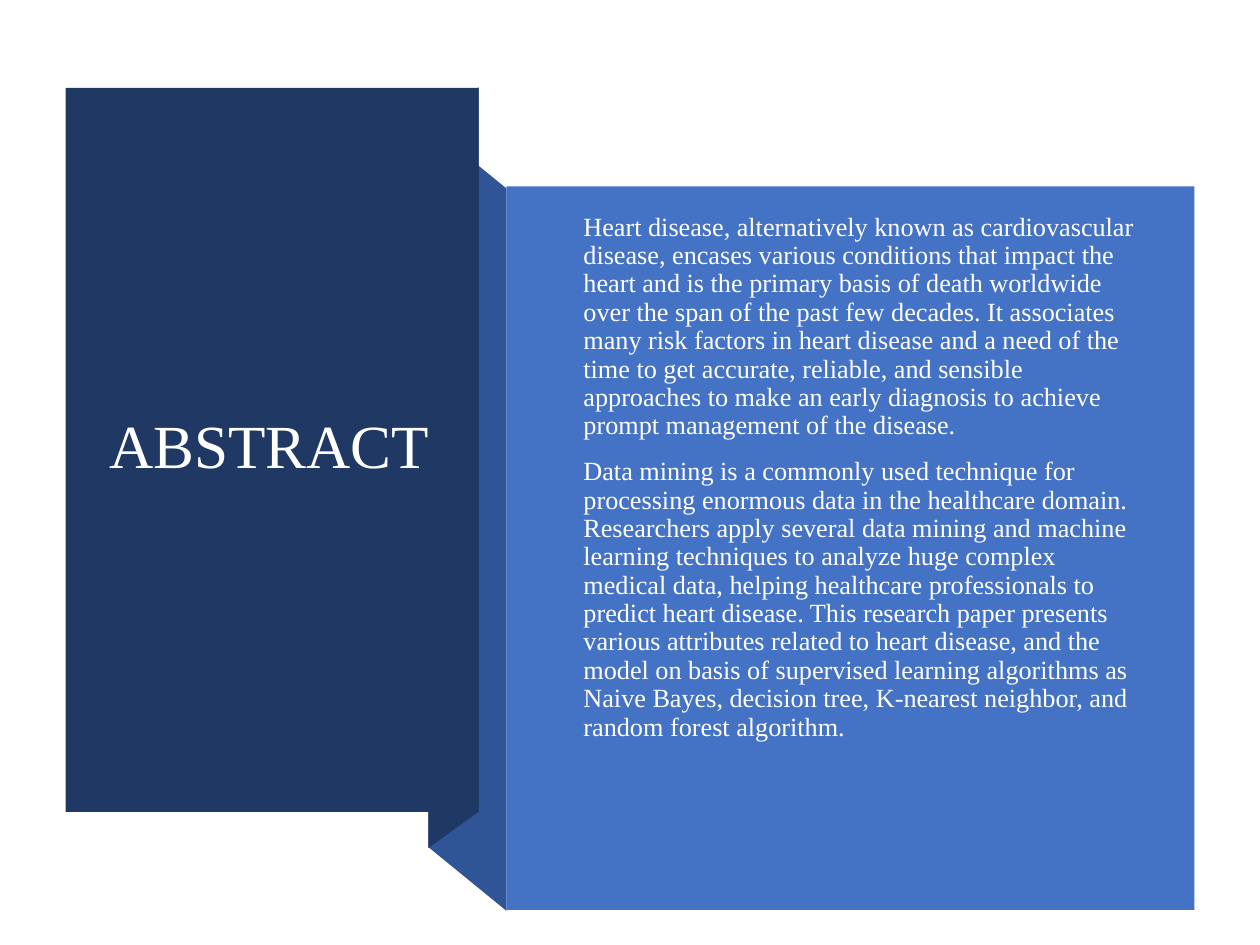
from typing import NamedTuple

from pptx import Presentation
from pptx.dml.color import RGBColor
from pptx.enum.shapes import MSO_SHAPE
from pptx.enum.text import MSO_ANCHOR as Anchor
from pptx.util import Pt

NAVY, BLUE_SHADE, BLUE, WHITE = "203864", "2F5597", "4472C4", "FFFFFF"
FONT = "Times New Roman"

ABSTRACT = (
    "Heart disease, alternatively known as cardiovascular disease, encases various "
    "conditions that impact the heart and is the primary basis of death worldwide over "
    "the span of the past few decades. It associates many risk factors in heart disease "
    "and a need of the time to get accurate, reliable, and sensible approaches to make "
    "an early diagnosis to achieve prompt management of the disease.",
    "Data mining is a commonly used technique for processing enormous data in the "
    "healthcare domain. Researchers apply several data mining and machine learning "
    "techniques to analyze huge complex medical data, helping healthcare professionals "
    "to predict heart disease. This research paper presents various attributes related "
    "to heart disease, and the model on basis of supervised learning algorithms as "
    "Naive Bayes, decision tree, K-nearest neighbor, and random forest algorithm.",
)


class Box(NamedTuple):
    left: float
    top: float
    width: float
    height: float

    def lengths(self) -> list[Pt]:
        return [Pt(value) for value in self]


class Fold(NamedTuple):
    """A ribbon side with two upright edges of equal height."""
    left: float
    left_top: float
    right: float
    right_top: float
    height: float
    color: str


TITLE_PANEL = Box(37.5, 50.2, 236, 413.8)
BODY_PANEL = Box(289.4, 106.5, 393.1, 413.5)
TITLE_BOX = Box(55.4, 77, 200.2, 359.3)
BODY_BOX = Box(333.4, 122, 319, 302)
FOLDS = (
    Fold(244.8, 71.3, 289.4, 107.7, 412.8, BLUE_SHADE),
    Fold(244.8, 70.6, 273.5, 49.9, 414, NAVY),
)


def paint(shape, color: str) -> None:
    shape.shadow.inherit = False
    shape.fill.solid()
    shape.fill.fore_color.rgb = RGBColor.from_string(color)
    shape.line.fill.background()


def add_fold(slide, fold: Fold) -> None:
    builder = slide.shapes.build_freeform(Pt(fold.left), Pt(fold.left_top))
    corners = (
        (fold.right, fold.right_top),
        (fold.right, fold.right_top + fold.height),
        (fold.left, fold.left_top + fold.height),
    )
    builder.add_line_segments([(Pt(x), Pt(y)) for x, y in corners])
    paint(builder.convert_to_shape(), fold.color)


def add_panel(slide, box: Box, color: str) -> None:
    paint(slide.shapes.add_shape(MSO_SHAPE.RECTANGLE, *box.lengths()), color)


def add_text(slide, box: Box, paragraphs: tuple[str, ...], size: float,
             anchor: Anchor, inset: float) -> None:
    frame = slide.shapes.add_textbox(*box.lengths()).text_frame
    frame.word_wrap = True
    frame.vertical_anchor = anchor
    frame.margin_left = frame.margin_right = Pt(inset)
    frame.margin_top = frame.margin_bottom = Pt(0)
    frame.text = "\n".join(paragraphs)
    for index, paragraph in enumerate(frame.paragraphs):
        paragraph.line_spacing = 0.9
        paragraph.space_before = Pt(10 if index else 0)
        font = paragraph.runs[0].font
        font.name, font.size = FONT, Pt(size)
        font.color.rgb = RGBColor.from_string(WHITE)


def main() -> None:
    presentation = Presentation()
    presentation.slide_width, presentation.slide_height = Pt(720), Pt(540)
    slide = presentation.slides.add_slide(presentation.slide_layouts[6])
    for fold in FOLDS:
        add_fold(slide, fold)
    add_panel(slide, TITLE_PANEL, NAVY)
    add_text(slide, TITLE_BOX, ("ABSTRACT",), 35, Anchor.MIDDLE, 7.2)
    add_panel(slide, BODY_PANEL, BLUE)
    add_text(slide, BODY_BOX, ABSTRACT, 15, Anchor.TOP, 0)
    presentation.save("out.pptx")


if __name__ == "__main__":
    main()
